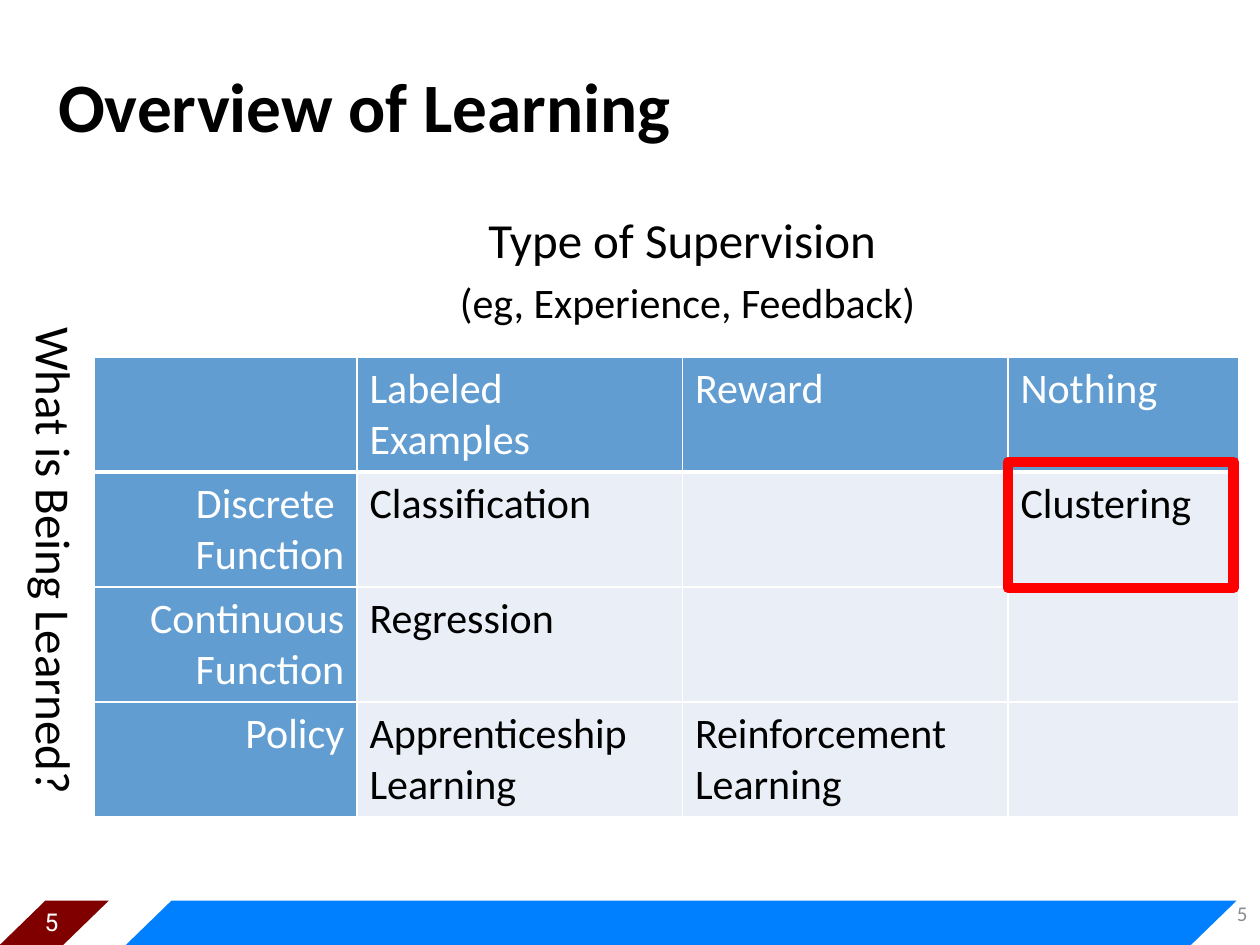
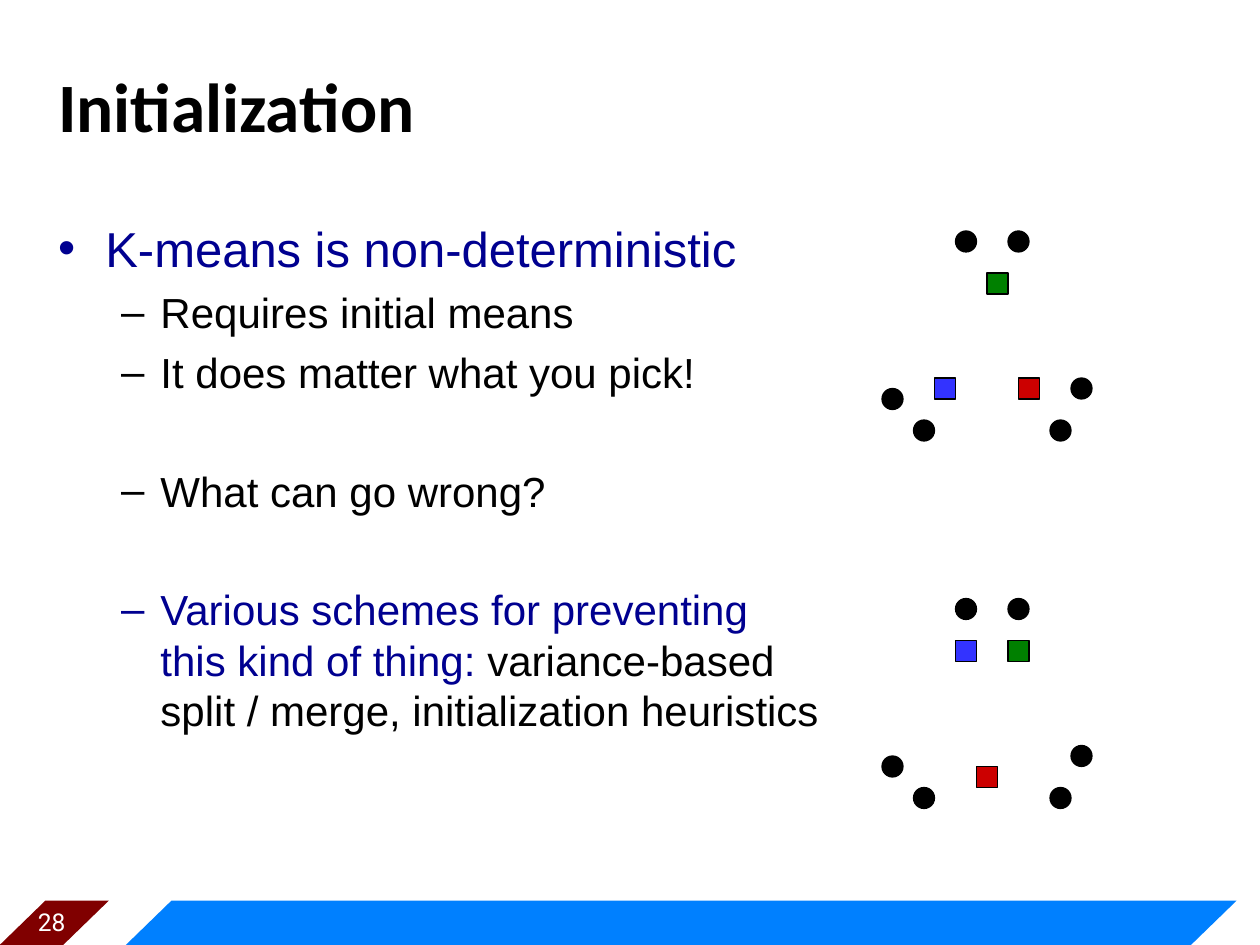
from pptx import Presentation, util as u
from pptx.dml.color import RGBColor
from pptx.enum import shapes as sh, text as tx
from pptx.oxml import parse_xml
from pptx.oxml.ns import nsdecls

Pt = u.Pt
HUES = {"black": "000000", "white": "FFFFFF", "band": "0080FF", "tab": "800000",
        "gray": "8C8C8C", "navy": "000090", "head": "629DD1", "cell": "EAEFF7",
        "ring": "FF0000", "red": "CC0000", "blue": "3333FF", "green": "008000"}
FONTS = {
    "title": {"name": "Calibri", "size": Pt(39.6), "bold": True},
    "page": {"name": "Roboto", "size": Pt(14)},
    "small": {"name": "Calibri", "size": Pt(12)},
    "label": {"name": "Calibri", "size": Pt(28)},
    "cell": {"name": "Calibri", "size": Pt(24), "bold": False},
    "top": {"name": "Arial", "size": Pt(28)},
    "sub": {"name": "Arial", "size": Pt(24)},
}
MID = tx.MSO_ANCHOR.MIDDLE
LEFT, CENTER, RIGHT = tx.PP_ALIGN.LEFT, tx.PP_ALIGN.CENTER, tx.PP_ALIGN.RIGHT


def write(para, words, font, hue="black", align=LEFT):
    """Add a formatted run to a paragraph."""
    run = para.add_run()
    run.text = words
    for key, val in FONTS[font].items():
        setattr(run.font, key, val)
    run.font.color.rgb = RGBColor.from_string(HUES[hue])
    para.alignment = align


def draw(page, kind, box, fill=None, line=None, width=0.75):
    """Add a flat preset shape."""
    item = page.shapes.add_shape(kind, *map(Pt, box))
    item.shadow.inherit = False
    for part, hue in ((item.fill, fill), (item.line.fill, line)):
        if hue:
            part.solid()
            part.fore_color.rgb = RGBColor.from_string(HUES[hue])
        else:
            part.background()
    if line:
        item.line.width = Pt(width)
    return item


deck = Presentation()
deck.slide_width, deck.slide_height = Pt(720), Pt(540)
pages = []

# Shared bands, page number and title
for lay, name, num in ((5, "Overview of Learning", "5"), (1, "Initialization", "28")):
    page = deck.slides.add_slide(deck.slide_layouts[lay])
    pages.append(page)
    for left, wide, hue in ((70.9, 635.8, "band"), (-1.2, 63.4, "tab")):
        band = draw(page, sh.MSO_SHAPE.PARALLELOGRAM, (left, 514.6, wide, 26.4), hue)
        band.adjustments[0] = 1.03
    box = page.shapes.add_textbox(Pt(8.6), Pt(514.6), Pt(41.8), Pt(24.5))
    box.text_frame.vertical_anchor = MID
    box.text_frame.word_wrap = True
    write(box.text_frame.paragraphs[0], num, "page", "white", CENTER)
    head = page.shapes.title
    head.left, head.top, head.width, head.height = map(Pt, (26, 32.4, 674.6, 55.4))
    head.text_frame.vertical_anchor = MID
    head.text_frame.auto_size = tx.MSO_AUTO_SIZE.NONE
    write(head.text_frame.paragraphs[0], name, "title")
chart, means = pages

# Overview: labels, each line as (words, font, hue)
labels = (
    ((552, 504, 168, 36), 0, RIGHT, MID, [("5", "small", "gray")]),
    ((-146, 300, 318, 78), 90, LEFT, tx.MSO_ANCHOR.TOP,
     [("What is Being Learned?", "label", "black")]),
    ((234, 116, 318, 78), 0, CENTER, tx.MSO_ANCHOR.TOP,
     [("Type of Supervision ", "label", "black"),
      ("(eg, Experience, Feedback)", "cell", "black")]),
)
for spot, turn, align, anchor, lines in labels:
    box = chart.shapes.add_textbox(*map(Pt, spot))
    box.rotation = turn
    frame = box.text_frame
    frame.word_wrap, frame.vertical_anchor = True, anchor
    for i, (words, font, hue) in enumerate(lines):
        para = frame.add_paragraph() if i else frame.paragraphs[0]
        if i:
            para.space_before = Pt(4.8)
        write(para, words, font, hue, align)

# Overview: table
rows = [["", "Labeled\nExamples", "Reward", "Nothing"],
        ["Discrete \nFunction", "Classification", "", "Clustering"],
        ["Continuous Function", "Regression", "", ""],
        ["Policy", "Apprenticeship Learning", "Reinforcement\nLearning", ""]]
grid = chart.shapes.add_table(4, 4, Pt(54), Pt(204), Pt(654), Pt(262.8)).table
for col, wide in zip(grid.columns, (150, 186, 186, 132)):
    col.width = Pt(wide)
for r, row in enumerate(rows):
    grid.rows[r].height = Pt(65.7)
    for c, words in enumerate(row):
        cell = grid.cell(r, c)
        lead = r == 0 or c == 0
        cell.fill.solid()
        cell.fill.fore_color.rgb = RGBColor.from_string(HUES["head" if lead else "cell"])
        for i, side in enumerate("LRTB"):
            thick = 3 if (r, side) in ((0, "B"), (1, "T")) else 1
            cell._tc.get_or_add_tcPr().insert(i, parse_xml(
                f'<a:ln{side} {nsdecls("a")} w="{Pt(thick)}"><a:solidFill>'
                f'<a:srgbClr val="{HUES["white"]}"/></a:solidFill></a:ln{side}>'))
        for i, line in enumerate(words.split("\n")):
            frame = cell.text_frame
            para = frame.add_paragraph() if i else frame.paragraphs[0]
            if line:
                write(para, line, "cell", "white" if lead else "black",
                      RIGHT if c == 0 else LEFT)
            else:
                para.font.size = FONTS["cell"]["size"]
draw(chart, sh.MSO_SHAPE.RECTANGLE, (576, 264, 129, 72), line="ring", width=6)

# Initialization: list, each item as (level, space before, runs)
items = (
    (0, 0, [("K-means is non-deterministic", "navy")]),
    (1, 5.5, [("Requires initial means", "black")]),
    (1, 5.5, [("It does matter what you pick!", "black")]),
    (1, 39, [("What can go wrong?", "black")]),
    (1, 39, [("Various schemes for preventing this kind of thing: ", "navy"),
             ("variance-based split / merge, initialization heuristics", "black")]),
)
body = means.placeholders[1]
body.left, body.top, body.width, body.height = map(Pt, (26, 121, 450.7, 368))
frame = body.text_frame
frame.auto_size = tx.MSO_AUTO_SIZE.NONE
for i, (level, gap, runs) in enumerate(items):
    para = frame.add_paragraph() if i else frame.paragraphs[0]
    para.level, para.space_before = level, Pt(gap)
    mark, font, left, hang = (("•", "top", 27, 27), ("–", "sub", 58.5, 22.5))[level]
    props = para._p.get_or_add_pPr()
    props.set("marL", str(Pt(left)))
    props.set("indent", str(-Pt(hang)))
    props.append(parse_xml(f'<a:buFont {nsdecls("a")} typeface="Arial"/>'))
    props.append(parse_xml(f'<a:buChar {nsdecls("a")} char="{mark}"/>'))
    for words, hue in runs:
        write(para, words, font, hue)

# Initialization: the same points twice, with good and bad starting means
STEP = 6
dots = ((84, 37), (87, 40), (96, 22), (100, 40), (102, 36), (91, 22))
starts = ((0, {"red": (97, 36), "blue": (89, 36), "green": (94, 26)}),
          (35, {"red": (93, 38), "blue": (91, 26), "green": (96, 26)}))
for drop, seeds in starts:
    marks = [(sh.MSO_SHAPE.OVAL, "black", dot) for dot in dots]
    marks += [(sh.MSO_SHAPE.RECTANGLE, hue, seed) for hue, seed in seeds.items()]
    for kind, hue, (x, y) in marks:
        draw(means, kind, (x * STEP, (y + drop) * STEP, 12, 12), hue, "black")

deck.save("out.pptx")
